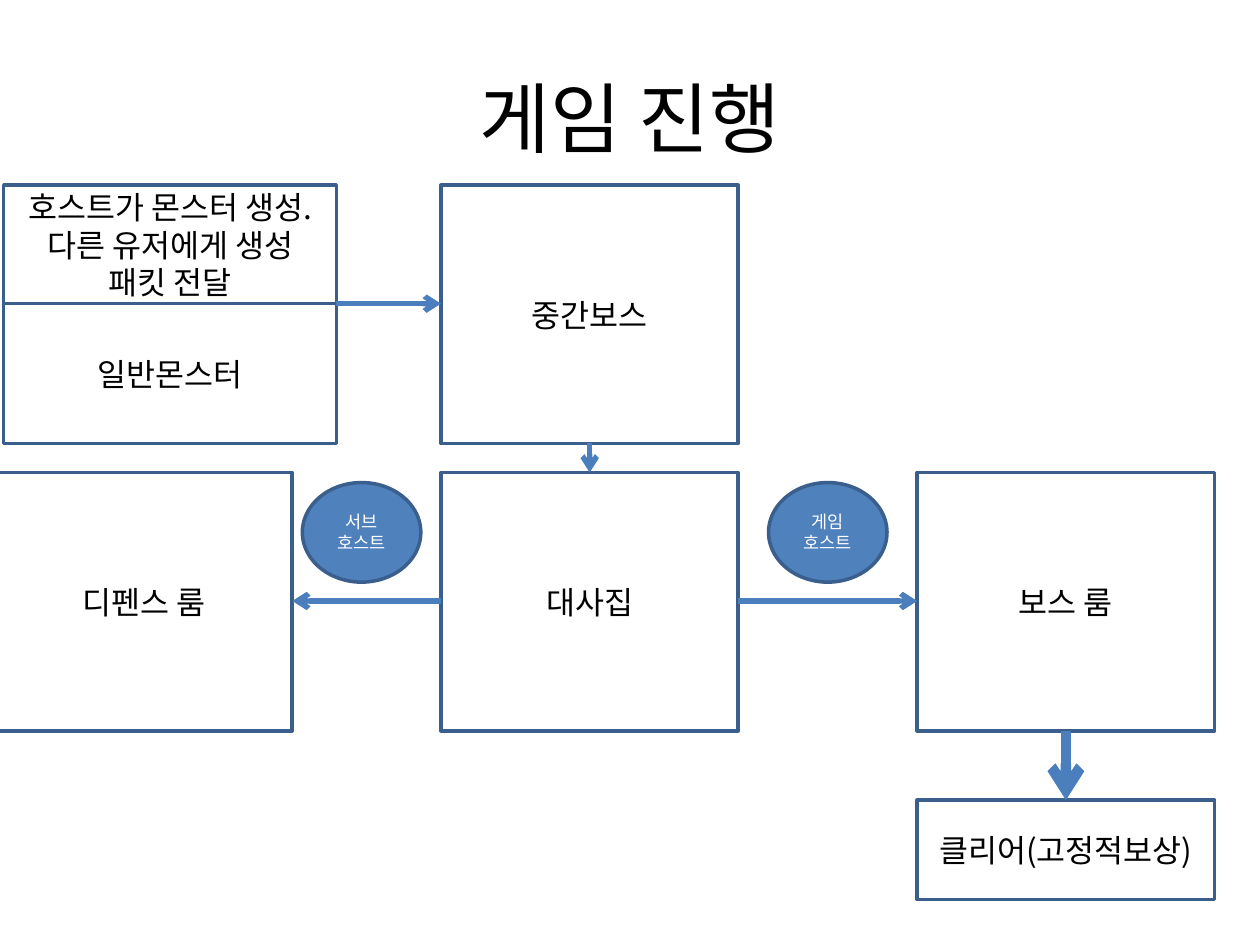
from lxml.etree import SubElement
from pptx import Presentation
from pptx.dml.color import RGBColor
from pptx.enum.shapes import MSO_CONNECTOR, MSO_SHAPE
from pptx.enum.text import MSO_ANCHOR, PP_ALIGN
from pptx.oxml.ns import qn
from pptx.util import Inches, Pt

# Content
FONT = "Noto Sans CJK KR"
COLORS = {"text": "000000", "light": "FFFFFF", "fill": "4F81BD",
          "border": "3A5F8C", "arrow": "4B7EBC"}
TITLE = "게임 진행"
BOX_W, BOX_H = 2.36, 2.05
LEFT, MID, RIGHT = -0.04, 3.5, 7.28
TOP, ROW2, CLEAR_TOP = 1.47, 3.75, 6.35
SPLIT_Y, BRANCH_Y = 2.41, 4.77
MONSTER_X, MONSTER_W = 0.03, 2.64

BOXES = [  # lines, left, top, width, height
    (["호스트가 몬스터 생성.", "다른 유저에게 생성 패킷 전달"],
     MONSTER_X, TOP, MONSTER_W, SPLIT_Y - TOP),
    (["일반몬스터"], MONSTER_X, SPLIT_Y, MONSTER_W, TOP + BOX_H - SPLIT_Y),
    (["중간보스"], MID, TOP, BOX_W, BOX_H),
    (["디펜스 룸"], LEFT, ROW2, BOX_W, BOX_H),
    (["대사집"], MID, ROW2, BOX_W, BOX_H),
    (["보스 룸"], RIGHT, ROW2, BOX_W, BOX_H),
    (["클리어(고정적보상)"], RIGHT, CLEAR_TOP, BOX_W, 0.79),
]
HOSTS = [(["서브", "호스트"], 2.4), (["게임", "호스트"], 6.1)]
ARROWS = [  # start, end, line width
    ((MONSTER_X + MONSTER_W, SPLIT_Y), (MID, SPLIT_Y), 3),
    ((MID + BOX_W / 2, TOP + BOX_H), (MID + BOX_W / 2, ROW2), 3),
    ((MID + BOX_W, BRANCH_Y), (RIGHT, BRANCH_Y), 3),
    ((MID, BRANCH_Y), (LEFT + BOX_W, BRANCH_Y), 3),
    ((RIGHT + BOX_W / 2, ROW2 + BOX_H), (RIGHT + BOX_W / 2, CLEAR_TOP), 6),
]


def rgb(name):
    return RGBColor.from_string(COLORS[name])


def write(shape, lines, size, color):
    tf = shape.text_frame
    tf.word_wrap = True
    tf.vertical_anchor = MSO_ANCHOR.MIDDLE
    for i, line in enumerate(lines):
        p = tf.add_paragraph() if i else tf.paragraphs[0]
        p.alignment = PP_ALIGN.CENTER
        r = p.add_run()
        r.text = line
        r.font.size = Pt(size)
        r.font.name = FONT
        r.font.color.rgb = rgb(color)
        # Korean glyphs use the East Asian typeface
        SubElement(r.font._element, qn("a:ea"), typeface=FONT)


def add_node(kind, lines, box, size, color, fill=None):
    shape = s.shapes.add_shape(kind, *map(Inches, box))
    shape.shadow.inherit = False
    if fill:
        shape.fill.solid()
        shape.fill.fore_color.rgb = rgb(fill)
    else:
        shape.fill.background()
    shape.line.color.rgb = rgb("border")
    shape.line.width = Pt(2)
    write(shape, lines, size, color)


def add_arrow(start, end, width):
    line = s.shapes.add_connector(MSO_CONNECTOR.STRAIGHT,
                                  *map(Inches, start + end))
    line.line.color.rgb = rgb("arrow")
    line.line.width = Pt(width)
    SubElement(line.line._get_or_add_ln(), qn("a:tailEnd"), type="arrow")
    SubElement(line._element.spPr, qn("a:effectLst"))


prs = Presentation()
prs.slide_width, prs.slide_height = Inches(10), Inches(7.5)
s = prs.slides.add_slide(prs.slide_layouts[6])

# Title
title = s.shapes.add_textbox(Inches(0.5), Inches(0.3), Inches(9), Inches(1.25))
write(title, [TITLE], 44, "text")

# Stages, hosts and the flow between them
for lines, *box in BOXES:
    add_node(MSO_SHAPE.RECTANGLE, lines, box, 18, "text")
for lines, x in HOSTS:
    add_node(MSO_SHAPE.OVAL, lines, (x, 3.83, 0.94, 0.79), 10, "light", "fill")
for arrow in ARROWS:
    add_arrow(*arrow)

prs.save("out.pptx")
